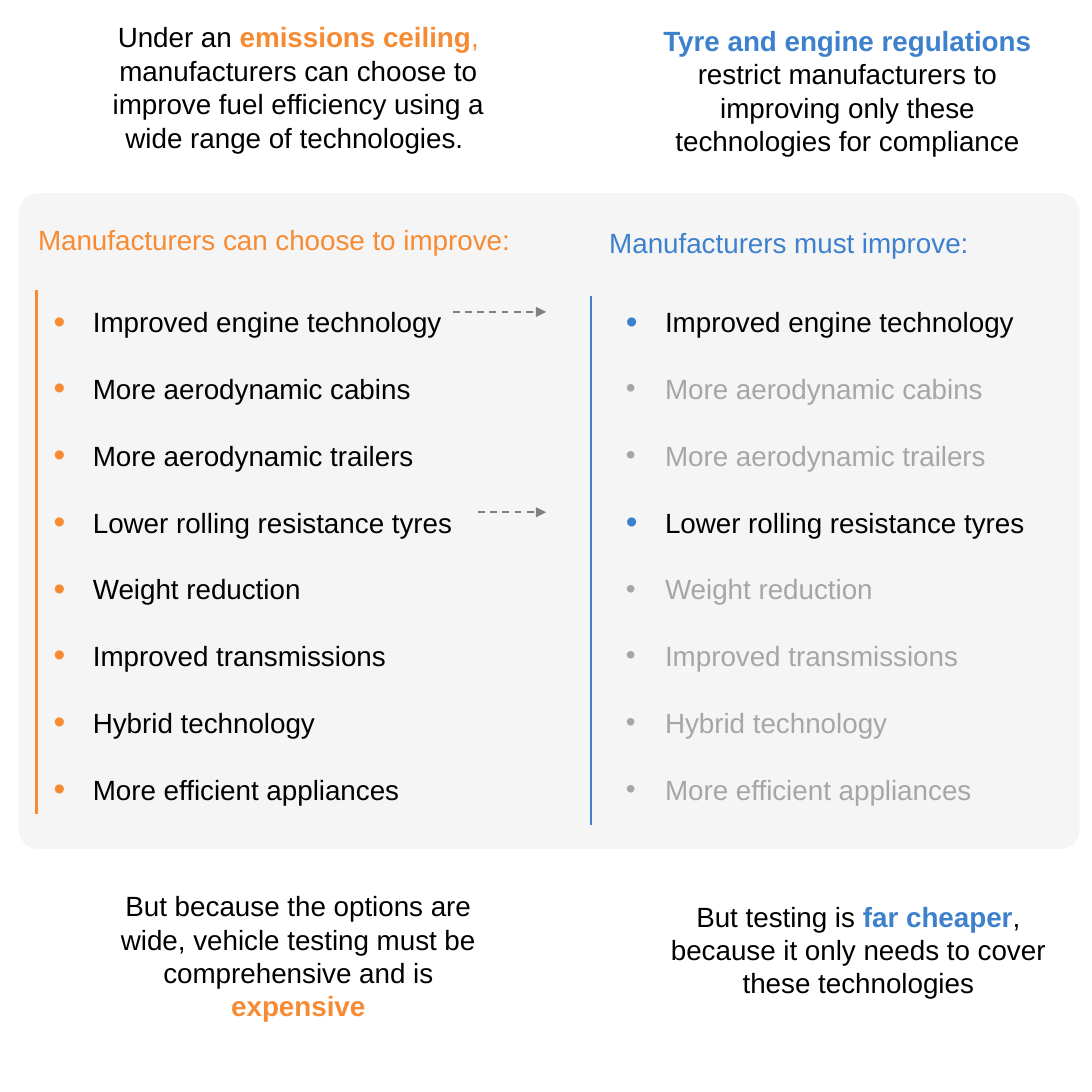
from dataclasses import dataclass

from lxml import etree
from pptx import Presentation
from pptx.dml.color import RGBColor
from pptx.enum.dml import MSO_LINE
from pptx.enum.shapes import MSO_CONNECTOR, MSO_SHAPE
from pptx.enum.text import MSO_ANCHOR, PP_ALIGN
from pptx.oxml.ns import qn
from pptx.util import Pt

RECT, ROUND = MSO_SHAPE.RECTANGLE, MSO_SHAPE.ROUNDED_RECTANGLE
LINE, DASH = MSO_CONNECTOR.STRAIGHT, MSO_LINE.DASH
CENTER, TOP = PP_ALIGN.CENTER, MSO_ANCHOR.TOP


@dataclass(frozen=True)
class Theme:
    orange: str = "F68B33"
    blue: str = "3D81CD"
    black: str = "000000"
    white: str = "FFFFFF"
    muted: str = "A6A6A6"
    arrow: str = "808080"
    panel: str = "D9D9D9"
    font: str = "Arial"
    size: int = 16


theme = Theme()


def write(para, text, color=theme.black, bold=False):
    run = para.add_run()
    run.text = text
    run.font.name, run.font.size, run.font.bold = theme.font, Pt(theme.size), bold
    run.font.color.rgb = RGBColor.from_string(color)


def rule(x1, y1, x2, y2, color, width):
    line = slide.shapes.add_connector(LINE, Pt(x1), Pt(y1), Pt(x2), Pt(y2))
    line.line.color.rgb = RGBColor.from_string(color)
    line.line.width = Pt(width)
    etree.SubElement(line._element.spPr, qn("a:effectLst"))
    return line


deck = Presentation()
deck.slide_width = deck.slide_height = Pt(627.84)
slide = deck.slides.add_slide(deck.slide_layouts[6])

# Grey panel behind both lists
panel = slide.shapes.add_shape(ROUND, Pt(10.8), Pt(111), Pt(610), Pt(377.3))
panel.adjustments[0] = 0.03
panel.shadow.inherit = False
panel.line.fill.background()
panel.fill.solid()
panel.fill.fore_color.rgb = RGBColor.from_string(theme.panel)
tint = panel._element.spPr.find(qn("a:solidFill"))[0]
etree.SubElement(tint, qn("a:alpha"), val="24000")

# Statements above and below the panel
notes = [
    (49, 8, 245, 85, [
        ("Under an ", theme.black, False),
        ("emissions ceiling", theme.orange, True),
        (", ", theme.orange, False),
        ("manufacturers can choose to improve fuel efficiency using a "
         "wide range of technologies. ", theme.black, False)]),
    (371, 10, 232.5, 85, [
        ("Tyre and engine regulations ", theme.blue, True),
        ("restrict manufacturers to improving only these technologies "
         "for compliance", theme.black, False)]),
    (49, 507.6, 245, 85, [
        ("But because the options are wide, vehicle testing must be "
         "comprehensive and is ", theme.black, False),
        ("expensive", theme.orange, True)]),
    (371, 513.5, 245, 65.5, [
        ("But testing is ", theme.black, False),
        ("far cheaper", theme.blue, True),
        (", because it only needs to cover these technologies",
         theme.black, False)]),
]
for x, y, w, h, parts in notes:
    note = slide.shapes.add_shape(RECT, Pt(x), Pt(y), Pt(w), Pt(h))
    note.shadow.inherit = False
    note.line.fill.background()
    note.fill.solid()
    note.fill.fore_color.rgb = RGBColor.from_string(theme.white)
    note.text_frame.word_wrap = True
    note.text_frame.vertical_anchor = TOP
    para = note.text_frame.paragraphs[0]
    para.alignment = CENTER
    for text, color, bold in parts:
        write(para, text, color=color, bold=bold)

# Two columns: heading, side rule and bullet list
items = ["Improved engine technology", "More aerodynamic cabins",
         "More aerodynamic trailers", "Lower rolling resistance tyres",
         "Weight reduction", "Improved transmissions",
         "Hybrid technology", "More efficient appliances"]
forced = {items[0], items[3]}
columns = [
    ("Manufacturers can choose to improve: ", theme.orange, set(items),
     (10.8, 124.6), (20.9, 167, 468), 23.8),
    ("Manufacturers must improve:", theme.blue, forced,
     (304.6, 126), (339.8, 170, 474.5), 352.8),
]
for title, color, active, (hx, hy), (rx, top, end), left in columns:
    head = slide.shapes.add_textbox(Pt(hx), Pt(hy), Pt(298), Pt(26.6))
    head.text_frame.word_wrap = True
    para = head.text_frame.paragraphs[0]
    para.alignment = CENTER
    write(para, title, color=color)

    rule(rx, top, rx, end, color, 1.5)

    body = slide.shapes.add_textbox(Pt(left), Pt(152.6), Pt(269.3), Pt(350))
    frame = body.text_frame
    frame.word_wrap = True
    for i, item in enumerate(items):
        para = frame.add_paragraph() if i else frame.paragraphs[0]
        para.line_spacing = 2.0
        props = para._p.get_or_add_pPr()
        props.set("marL", str(Pt(22.5)))
        props.set("indent", str(-Pt(22.5)))
        if item in active:
            tint = etree.SubElement(props, qn("a:buClr"))
            etree.SubElement(tint, qn("a:srgbClr"), val=color)
            etree.SubElement(props, qn("a:buSzPct"), val="120000")
        etree.SubElement(props, qn("a:buFont"), typeface=theme.font)
        etree.SubElement(props, qn("a:buChar"), char="•")
        write(para, item, color=theme.black if item in active else theme.muted)

# Dashed arrows to the two required technologies
for x, y in [(260.6, 179.3), (275, 294.5)]:
    arrow = rule(x, y, 314, y, theme.arrow, 1)
    arrow.line.dash_style = DASH
    etree.SubElement(arrow.line._get_or_add_ln(), qn("a:tailEnd"), type="triangle")

deck.save("out.pptx")
